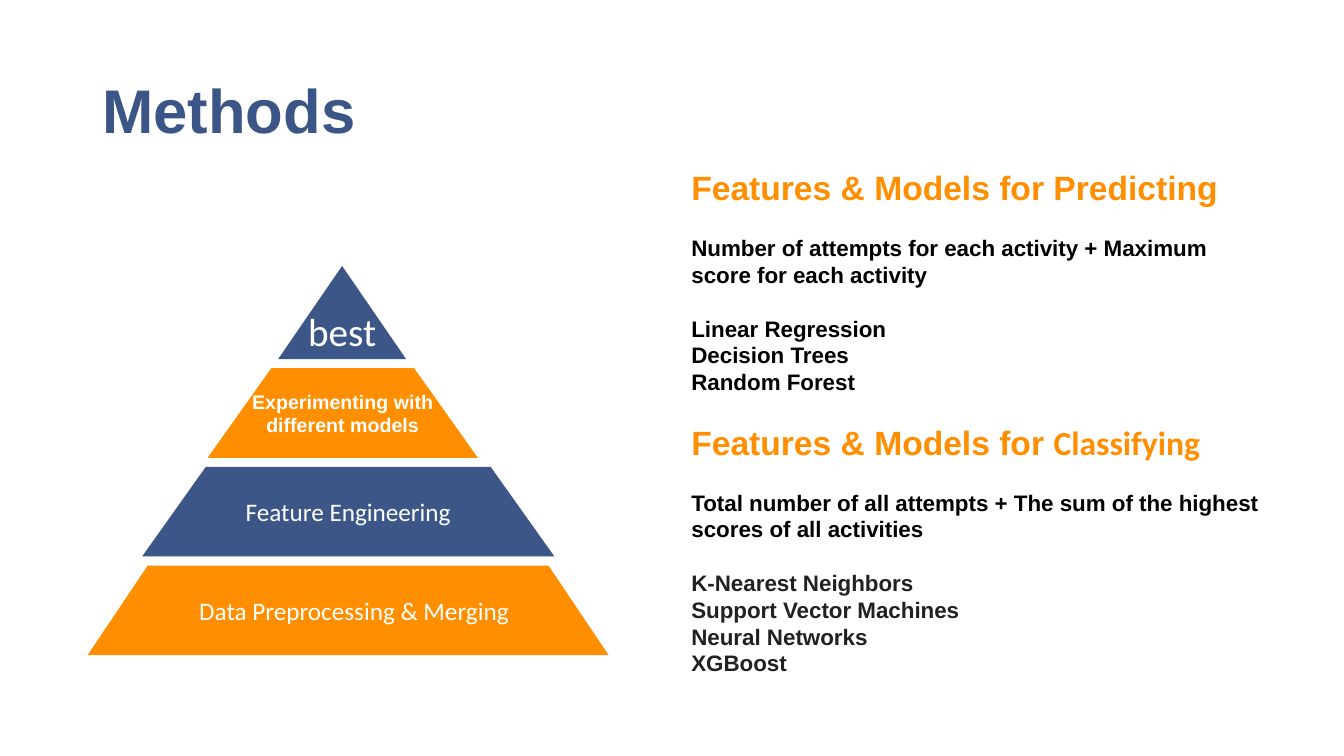
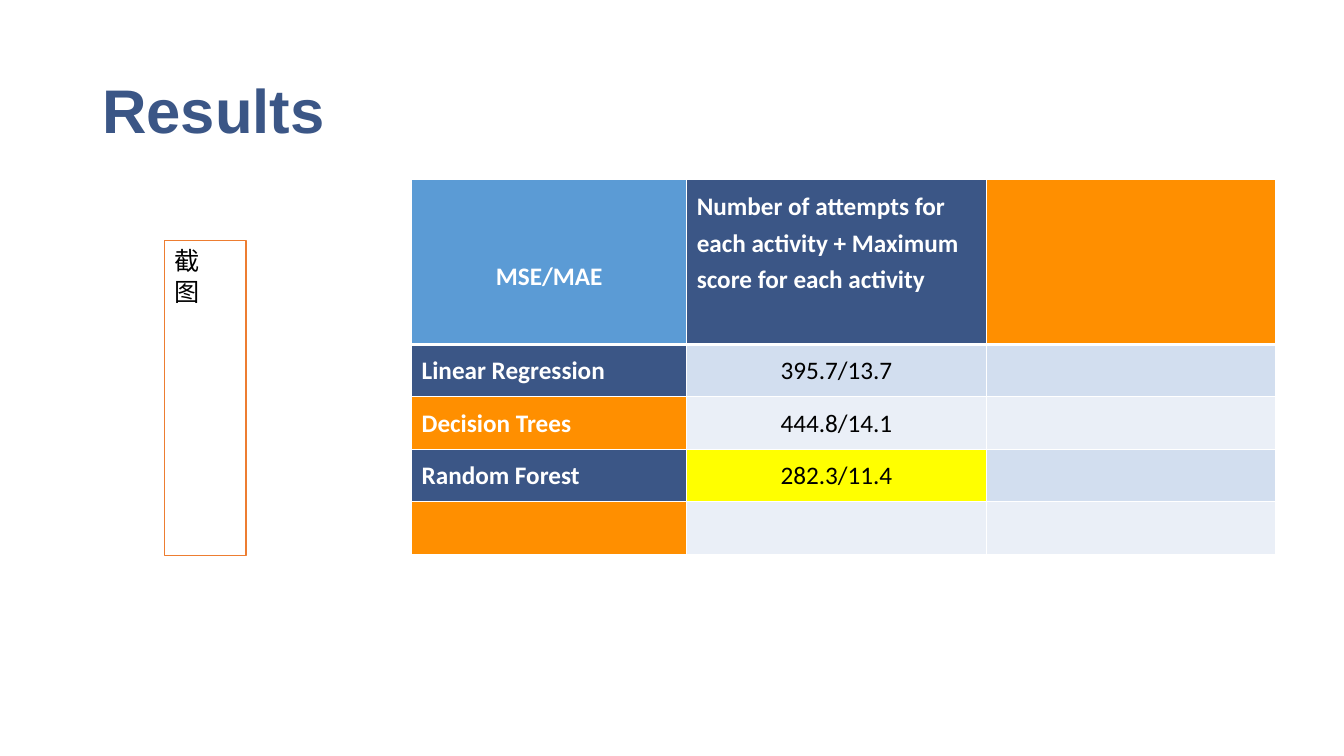
from pptx import Presentation
from pptx.dml.color import RGBColor
from pptx.enum.shapes import MSO_SHAPE
from pptx.enum.text import MSO_ANCHOR, PP_ALIGN
from pptx.oxml.ns import qn
from pptx.util import Pt
from lxml.etree import SubElement

COLORS = {
    "navy": "3B5686", "tier_navy": "3C5787", "orange": "FF8F00", "sky": "5B9BD5",
    "band": "D2DEEF", "light_band": "EAEFF7", "best": "FFFF00", "outline": "ED7D31",
    "black": "000000", "charcoal": "212121", "white": "FFFFFF",
}

# Tier: lines, left, width, height, slant, colour, font, size, bold, anchor, indent
TIERS = [
    (["best"], 198.7, 91.4, 66.5, 45.7, "tier_navy", "Calibri", 28, False, MSO_ANCHOR.BOTTOM, 0),
    (["Experimenting with", "different models"], 148.3, 193, 64, 45.5, "orange",
     "Arial", 14, True, MSO_ANCHOR.MIDDLE, 0),
    (["Feature Engineering"], 101.5, 294.5, 64, 45.5, "tier_navy",
     "Calibri", 18, False, MSO_ANCHOR.MIDDLE, 0),
    (["Data Preprocessing & Merging"], 62.6, 372.2, 64, 43, "orange",
     "Calibri", 18, False, MSO_ANCHOR.MIDDLE, 8.6),
]
FIRST_TIER_BOTTOM, TIER_PITCH = 256.5, 70.5

# Section: heading runs with fonts, features, models, colour of the models
SECTIONS = [
    ([("Features & Models for Predicting", "Arial")],
     "Number of attempts for each activity + Maximum score for each activity",
     ["Linear Regression", "Decision Trees", "Random Forest"], "black"),
    ([("Features & Models for ", "Arial"), ("Classifying", "Calibri")],
     "Total number of all attempts + The sum of the highest scores of all activities",
     ["K-Nearest Neighbors", "Support Vector Machines", "Neural Networks", "XGBoost"],
     "charcoal"),
]
SECTION_GAP = 19.5

SCORES = [
    ["MSE/MAE", "Number of attempts for each activity + Maximum score for each activity", ""],
    ["Linear Regression", "395.7/13.7", ""],
    ["Decision Trees", "444.8/14.1", ""],
    ["Random Forest", "282.3/11.4", ""],
    ["", "", ""],
]
HEADER_FILLS = ["sky", "navy", "orange"]
BEST_SCORE = (3, 1)
COLUMN_WIDTHS = [196.5, 214, 206.5]
HEADER_HEIGHT, ROW_HEIGHT = 117.5, 37.5

SIDE_NOTE = ["截", "图"]


def rgb(name):
    return RGBColor.from_string(COLORS[name])


def style(font, face, size, color, bold=False):
    font.name, font.size, font.bold = face, Pt(size), bold
    font.color.rgb = rgb(color)


def add_frame(slide, left, top, width, height):
    """Add a wrapping text box and return its text frame."""
    frame = slide.shapes.add_textbox(Pt(left), Pt(top), Pt(width), Pt(height)).text_frame
    frame.word_wrap = True
    return frame


def add_titled_slide(deck, title):
    slide = deck.slides.add_slide(deck.slide_layouts[6])
    frame = add_frame(slide, 66, 28.75, 828, 104.5)
    frame.vertical_anchor = MSO_ANCHOR.MIDDLE
    frame.text = title
    heading = frame.paragraphs[0]
    heading.line_spacing = 0.9
    style(heading.font, "Arial", 44, "navy", True)
    return slide


def add_tier(slide, bottom, tier):
    lines, left, width, height, slant, color, face, size, bold, anchor, indent = tier
    top, right = bottom - height, left + width
    corners = [(left + slant, top), (right - slant, top), (right, bottom), (left, bottom)]
    points = [(Pt(x), Pt(y)) for x, y in corners]
    builder = slide.shapes.build_freeform(*points[0])
    builder.add_line_segments(points[1:])
    block = builder.convert_to_shape()
    block.shadow.inherit = False
    block.fill.solid()
    block.fill.fore_color.rgb = rgb(color)
    block.line.fill.background()
    frame = block.text_frame
    frame.word_wrap = True
    frame.vertical_anchor = anchor
    frame.text = "\n".join(lines)
    for line in frame.paragraphs:
        line.alignment = PP_ALIGN.CENTER
        if indent:
            line._p.get_or_add_pPr().set("marL", str(Pt(indent)))
        style(line.font, face, size, "white", bold)


def add_sections(slide):
    frame = add_frame(slide, 486.75, 116, 425.5, 388)
    rows = []  # runs, size, colour, whether a gap comes before
    for heading, features, models, model_color in SECTIONS:
        rows.append((heading, 24, "orange", bool(rows)))
        rows.append(([(features, "Arial")], 16, "black", True))
        rows += [([(model, "Arial")], 16, model_color, i == 0)
                 for i, model in enumerate(models)]
    for i, (runs, size, color, gap) in enumerate(rows):
        line = frame.add_paragraph() if i else frame.paragraphs[0]
        line.line_spacing = Pt(28.5 if size == 24 else 19)
        if gap:
            line.space_before = Pt(SECTION_GAP)
        for text, face in runs:
            run = line.add_run()
            run.text = text
            style(run.font, face, size, color, True)


def set_borders(cell, row):
    """Draw white cell edges, thicker under the header row."""
    properties = cell._tc.get_or_add_tcPr()
    widths = {"lnL": 1, "lnR": 1, "lnT": 3 if row == 1 else 1, "lnB": 3 if row == 0 else 1}
    for side, width in widths.items():
        edge = SubElement(properties, qn(f"a:{side}"), w=str(Pt(width)))
        fill = SubElement(edge, qn("a:solidFill"))
        SubElement(fill, qn("a:srgbClr"), val=COLORS["white"])


def cell_fill(row, column):
    if row == 0:
        return HEADER_FILLS[column]
    if (row, column) == BEST_SCORE:
        return "best"
    odd = row % 2 == 1
    if column == 0:
        return "navy" if odd else "orange"
    return "band" if odd else "light_band"


def add_scores(slide):
    heights = [HEADER_HEIGHT] + [ROW_HEIGHT] * (len(SCORES) - 1)
    table = slide.shapes.add_table(
        len(SCORES), len(COLUMN_WIDTHS), Pt(294), Pt(128.5),
        Pt(sum(COLUMN_WIDTHS)), Pt(sum(heights))).table
    table.first_row = table.horz_banding = False
    for column, width in zip(table.columns, COLUMN_WIDTHS):
        column.width = Pt(width)
    for r, texts in enumerate(SCORES):
        table.rows[r].height = Pt(heights[r])
        for c, text in enumerate(texts):
            cell = table.cell(r, c)
            set_borders(cell, r)
            cell.fill.solid()
            cell.fill.fore_color.rgb = rgb(cell_fill(r, c))
            if not text:
                continue
            cell.text_frame.text = text
            line = cell.text_frame.paragraphs[0]
            corner, label = r == c == 0, r == 0 or c == 0
            line.line_spacing = 3.5 if corner else 1.2
            if corner or not label:
                line.alignment = PP_ALIGN.CENTER
            style(line.font, "Calibri", 18, "white" if label else "black", label)


def add_side_note(slide):
    note = slide.shapes.add_shape(MSO_SHAPE.RECTANGLE, Pt(117.5), Pt(172), Pt(58.25), Pt(224.5))
    note.shadow.inherit = False
    note.fill.background()
    note.line.color.rgb = rgb("outline")
    note.line.width = Pt(0.75)
    frame = note.text_frame
    frame.word_wrap = True
    frame.vertical_anchor = MSO_ANCHOR.TOP
    frame.text = "\n".join(SIDE_NOTE)
    for line in frame.paragraphs:
        line.alignment = PP_ALIGN.LEFT
        style(line.font, "Calibri", 18, "black")


def main():
    deck = Presentation()
    deck.slide_width, deck.slide_height = Pt(960), Pt(540)

    methods = add_titled_slide(deck, "Methods")
    for i, tier in enumerate(TIERS):
        add_tier(methods, FIRST_TIER_BOTTOM + i * TIER_PITCH, tier)
    add_sections(methods)

    results = add_titled_slide(deck, "Results")
    add_scores(results)
    add_side_note(results)

    deck.save("out.pptx")


if __name__ == "__main__":
    main()
